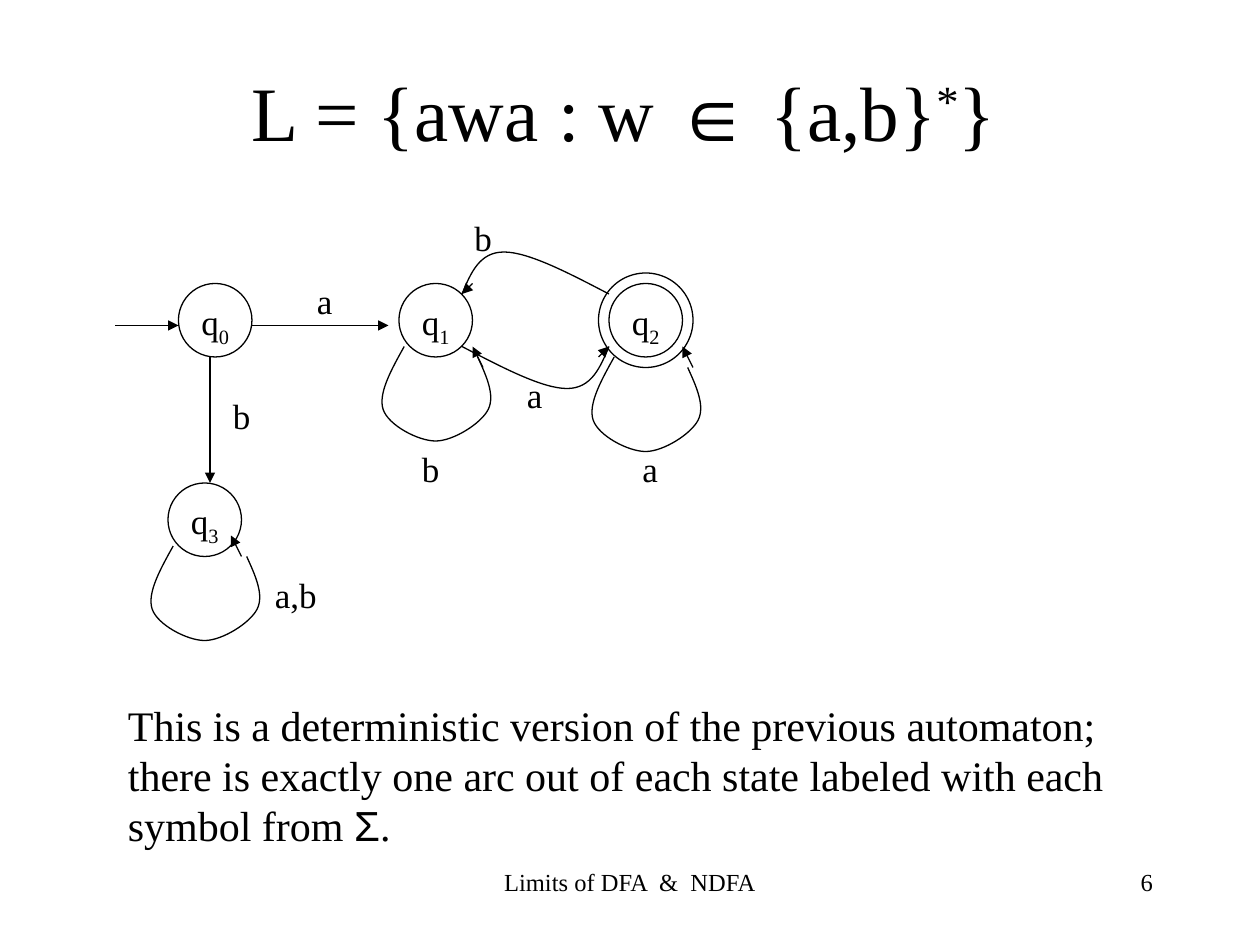
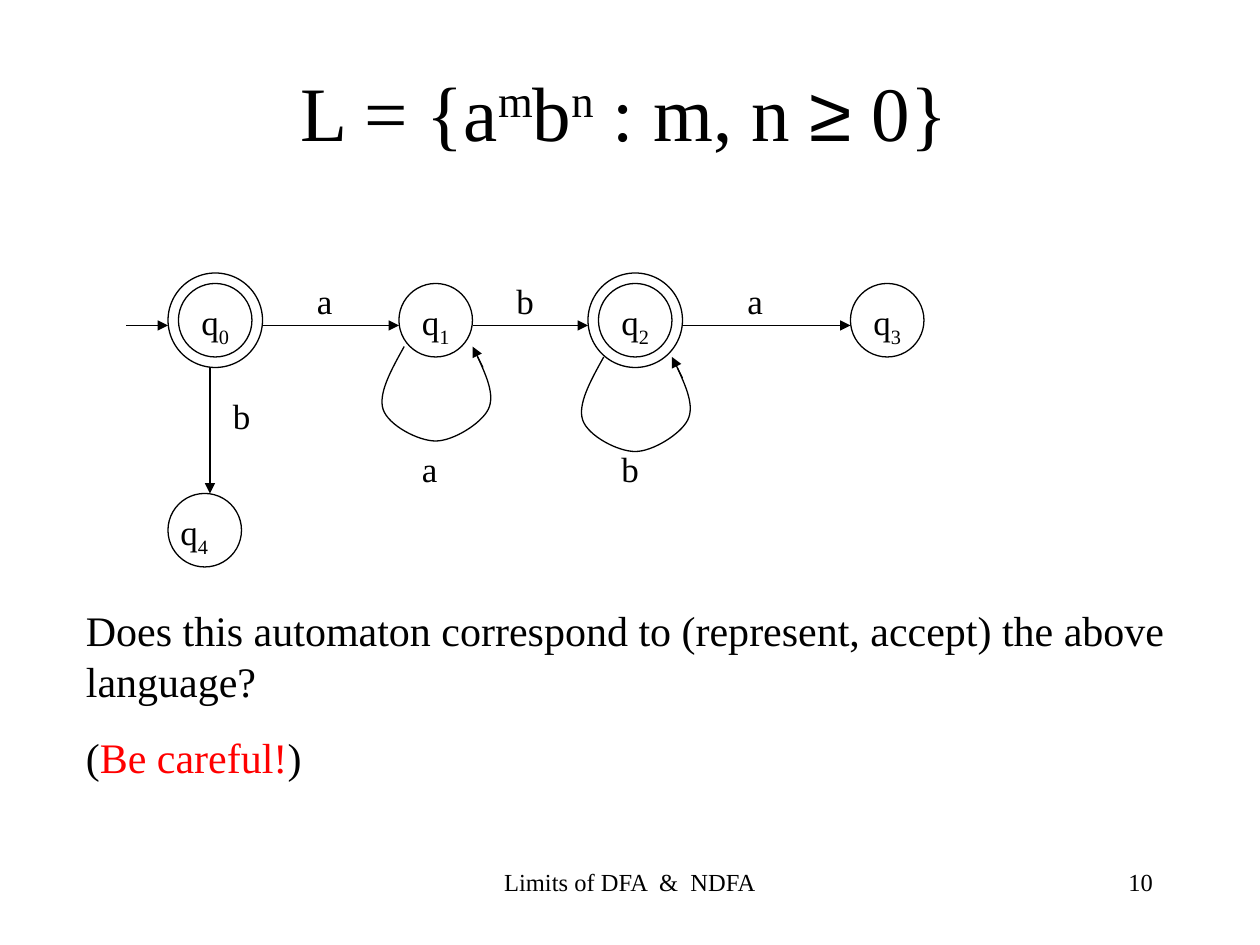
"""Build two slides with finite automata and their languages."""
from dataclasses import dataclass
from typing import NamedTuple

from lxml.etree import SubElement
from pptx import Presentation
from pptx.dml.color import RGBColor
from pptx.enum.shapes import MSO_CONNECTOR, MSO_SHAPE
from pptx.enum.text import MSO_ANCHOR, MSO_AUTO_SIZE, PP_ALIGN
from pptx.oxml.ns import qn
from pptx.slide import Slide
from pptx.util import Pt

BLACK = "000000"
RED = "FF0000"
SERIF = "Times New Roman"
SANS = "Arial"
SUPERSCRIPT = 30
SUBSCRIPT = -25
LINE_WIDTH = 0.75
DIAMETER = 42
RING_GAP = 6
SYMBOL_SIZE = 20

Point = tuple[float, float]

LOOP = [(15, 0), (7.5, 13.5), (0, 27), (3, 36), (6, 45), (23, 54), (33, 54),
        (43, 54), (59, 44), (63, 36), (67, 28), (62, 17), (57, 6)]
BACK_ARC = [(264, 168), (269, 156), (274, 144), (288, 144), (302, 144), (325, 156), (348, 168)]
FORWARD_ARC = [(612 - x, 366 - y) for x, y in BACK_ARC]


class Span(NamedTuple):
    """A stretch of text in one format."""
    text: str
    font: str = SERIF
    baseline: int = 0
    color: str = BLACK


class Box(NamedTuple):
    """A text area in points."""
    left: float
    top: float
    width: float
    height: float


class Arrow(NamedTuple):
    """A straight arrow from start to tip."""
    start: Point
    tip: Point


class Symbol(NamedTuple):
    """An input symbol written beside an arc."""
    text: str
    left: float
    top: float
    width: float = 36


@dataclass(frozen=True)
class State:
    """A state with its number, and the tip of its loop if it has one."""
    number: int
    left: float
    top: float
    accepting: bool = False
    loop_tip: Point | None = None
    name_indent: float = 6
    name_width: float = 36


@dataclass(frozen=True)
class Automaton:
    """A slide's language, machine and remark."""
    page: int
    language: list[Span]
    states: list[State]
    arrows: list[Arrow]
    arcs: list[list[Point]]
    symbols: list[Symbol]
    remark_box: Box
    remark: list[list[Span]]


AUTOMATA = [
    Automaton(
        page=6,
        language=[Span("L = {awa : w "), Span("∈", SANS), Span(" {a,b}"),
                  Span("*", baseline=SUPERSCRIPT), Span("}")],
        states=[
            State(0, 102, 162),
            State(1, 228, 162, loop_tip=(270, 198)),
            State(2, 348, 162, accepting=True, loop_tip=(390, 198), name_width=42),
            State(3, 96, 276, loop_tip=(132, 306), name_width=48),
        ],
        arrows=[
            Arrow((66, 186), (102, 186)),
            Arrow((144, 186), (222, 186)),
            Arrow((120, 204), (120, 276)),
            Arrow((270, 162), (264, 168)),
            Arrow((342, 204), (348, 198)),
        ],
        arcs=[BACK_ARC, FORWARD_ARC],
        symbols=[
            Symbol("a", 174, 156, 24),
            Symbol("b", 126, 222, 42),
            Symbol("b", 234, 252, 24),
            Symbol("a,b", 150, 324, 42),
            Symbol("b", 264, 120, 30),
            Symbol("a", 294, 210),
            Symbol("a", 360, 252, 30),
        ],
        remark_box=Box(66, 396, 588, 93.6),
        remark=[[
            Span("This is a deterministic version of the previous automaton; there is "
                 "exactly one arc out of each state labeled with each symbol from "),
            Span("Σ", SANS), Span("."),
        ]],
    ),
    Automaton(
        page=10,
        language=[Span("L = {a"), Span("m", baseline=SUPERSCRIPT), Span("b"),
                  Span("n", baseline=SUPERSCRIPT), Span(" : m, n "), Span("≥", SANS),
                  Span(" 0}")],
        states=[
            State(0, 102, 162, accepting=True),
            State(1, 228, 162, loop_tip=(270, 198)),
            State(2, 342, 162, accepting=True, loop_tip=(384, 204), name_width=42),
            State(3, 486, 162, name_width=42),
            State(4, 96, 282, name_indent=0, name_width=48),
        ],
        arrows=[
            Arrow((72, 186), (96, 186)),
            Arrow((150, 186), (228, 186)),
            Arrow((270, 186), (336, 186)),
            Arrow((390, 186), (486, 186)),
            Arrow((120, 210), (120, 282)),
        ],
        arcs=[],
        symbols=[
            Symbol("a", 174, 156, 24),
            Symbol("b", 288, 156),
            Symbol("a", 420, 156),
            Symbol("b", 126, 222, 42),
            Symbol("a", 234, 252, 30),
            Symbol("b", 348, 252, 30),
        ],
        remark_box=Box(42, 342, 648, 108.7),
        remark=[
            [Span("Does this automaton correspond to (represent, accept) the above language?")],
            [Span("("), Span("Be careful!", color=RED), Span(")")],
        ],
    ),
]


def rgb(color: str) -> RGBColor:
    """Turn a hex string into a colour."""
    return RGBColor.from_string(color)


def add_text(slide: Slide, box: Box, paragraphs: list[list[Span]], size: float,
             align: PP_ALIGN = PP_ALIGN.LEFT, space_before: float = 0,
             anchor: MSO_ANCHOR = MSO_ANCHOR.TOP) -> None:
    """Write formatted paragraphs in a box."""
    frame = slide.shapes.add_textbox(*map(Pt, box)).text_frame
    frame.word_wrap = True
    frame.vertical_anchor = anchor
    frame.auto_size = MSO_AUTO_SIZE.SHAPE_TO_FIT_TEXT if space_before else MSO_AUTO_SIZE.NONE
    for index, spans in enumerate(paragraphs):
        paragraph = frame.add_paragraph() if index else frame.paragraphs[0]
        paragraph.alignment = align
        paragraph.space_before = Pt(space_before)
        for span in spans:
            run = paragraph.add_run()
            run.text = span.text
            run.font.name = span.font
            run.font.size = Pt(size)
            run.font.color.rgb = rgb(span.color)
            if span.baseline:
                run._r.get_or_add_rPr().set("baseline", str(span.baseline * 1000))


def add_circle(slide: Slide, left: float, top: float, diameter: float) -> None:
    """Draw an unfilled circle."""
    circle = slide.shapes.add_shape(
        MSO_SHAPE.OVAL, Pt(left), Pt(top), Pt(diameter), Pt(diameter))
    circle.shadow.inherit = False
    circle.fill.background()
    circle.line.color.rgb = rgb(BLACK)
    circle.line.width = Pt(LINE_WIDTH)


def add_arrow(slide: Slide, arrow: Arrow) -> None:
    """Draw a straight line with a triangular head at its tip."""
    line = slide.shapes.add_connector(
        MSO_CONNECTOR.STRAIGHT, *map(Pt, (*arrow.start, *arrow.tip)))
    line.line.color.rgb = rgb(BLACK)
    line.line.width = Pt(LINE_WIDTH)
    SubElement(line.line._get_or_add_ln(), qn("a:tailEnd"), type="triangle")
    SubElement(line._element.spPr, qn("a:effectLst"))


def add_curve(slide: Slide, points: list[Point]) -> None:
    """Draw cubic curves through a start point and triples of control points."""
    start, *controls = [(Pt(x), Pt(y)) for x, y in points]
    builder = slide.shapes.build_freeform(*start)
    builder.add_line_segments(controls, close=False)
    curve = builder.convert_to_shape()
    curve.shadow.inherit = False
    curve.fill.background()
    curve.line.color.rgb = rgb(BLACK)
    curve.line.width = Pt(LINE_WIDTH)
    outline = next(curve._element.iter(qn("a:path")))
    segments = outline.findall(qn("a:lnTo"))
    for first in range(0, len(segments), 3):
        bezier = SubElement(outline, qn("a:cubicBezTo"))
        for segment in segments[first:first + 3]:
            bezier.append(segment[0])
            outline.remove(segment)


def add_state(slide: Slide, state: State) -> None:
    """Draw a state with its name, accepting ring and loop."""
    gap = RING_GAP if state.accepting else 0
    add_circle(slide, state.left, state.top, DIAMETER)
    if state.accepting:
        add_circle(slide, state.left - gap, state.top - gap, DIAMETER + 2 * gap)
    name_box = Box(state.left + state.name_indent, state.top + 6, state.name_width, 34.6)
    name = [Span("q"), Span(str(state.number), baseline=SUBSCRIPT)]
    add_text(slide, name_box, [name], SYMBOL_SIZE, space_before=12.5)
    if state.loop_tip:
        left, top = state.left - 12, state.top + 36 + gap
        add_curve(slide, [(left + x, top + y) for x, y in LOOP])
        tip_x, tip_y = state.loop_tip
        add_arrow(slide, Arrow((tip_x + 6, tip_y + 12), state.loop_tip))


def add_automaton(slide: Slide, automaton: Automaton) -> None:
    """Fill a slide with one automaton, its title, remark and footer."""
    add_text(slide, Box(24, 18, 665, 90), [automaton.language], 44,
             PP_ALIGN.CENTER, anchor=MSO_ANCHOR.MIDDLE)
    for state in automaton.states:
        add_state(slide, state)
    for arc in automaton.arcs:
        add_curve(slide, arc)
    for arrow in automaton.arrows:
        add_arrow(slide, arrow)
    for symbol in automaton.symbols:
        add_text(slide, Box(symbol.left, symbol.top, symbol.width, 31.6),
                 [[Span(symbol.text)]], SYMBOL_SIZE, space_before=12.5)
    add_text(slide, automaton.remark_box, automaton.remark, 24, space_before=15)
    add_text(slide, Box(246, 492, 228, 36), [[Span("Limits of DFA  &  NDFA")]], 14,
             PP_ALIGN.CENTER)
    add_text(slide, Box(516, 492, 150, 36), [[Span(str(automaton.page))]], 14, PP_ALIGN.RIGHT)


def main() -> None:
    """Build and save the presentation."""
    presentation = Presentation()
    presentation.slide_width, presentation.slide_height = Pt(720), Pt(540)
    for automaton in AUTOMATA:
        add_automaton(presentation.slides.add_slide(presentation.slide_layouts[6]), automaton)
    presentation.save("out.pptx")


if __name__ == "__main__":
    main()
